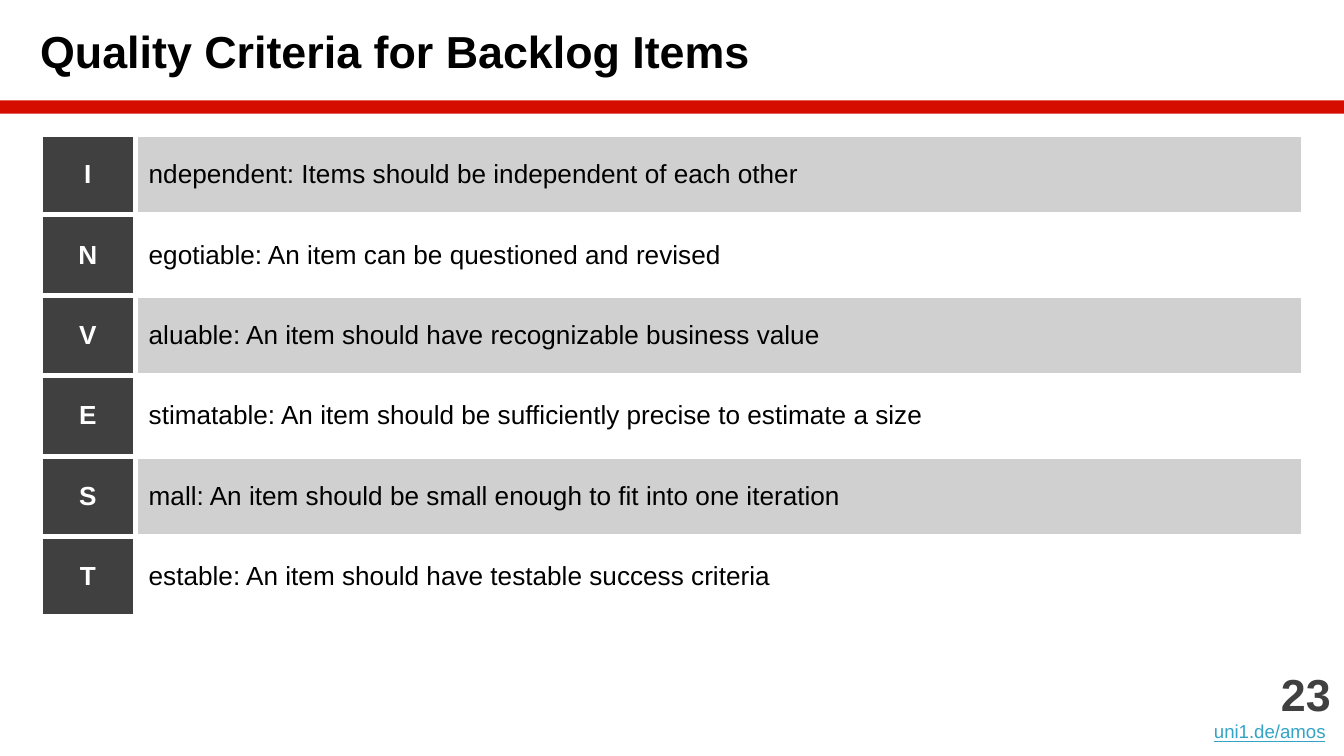
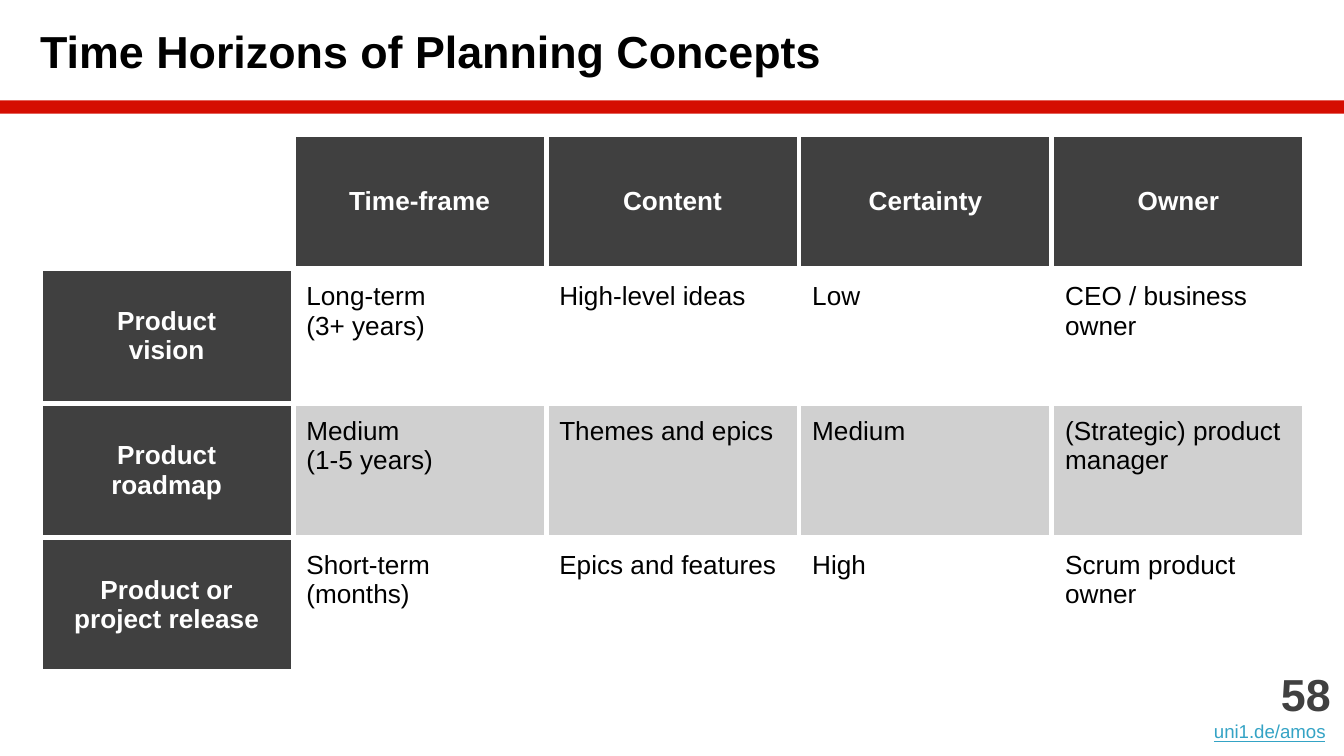
from copy import deepcopy

from lxml import etree
from pptx import Presentation
from pptx.dml.color import RGBColor
from pptx.enum.shapes import MSO_SHAPE
from pptx.enum.text import MSO_ANCHOR as ANCHOR, PP_ALIGN as ALIGN
from pptx.oxml.ns import qn
from pptx.util import Cm, Pt

COLORS = {"red": "D50D01", "dark": "404040", "grey": "D0D0D0",
          "white": "FFFFFF", "black": "000000", "link": "34A3C5"}
WIDTH, HEIGHT = 25.4, 14.29
MARGIN, TABLE_TOP = 0.76, 2.54
BAND_TOP, BAND_HEIGHT = 1.9, 0.25
FOOTER_SIZE = 5.08, 2.54
INSET = 0.25
BORDER_WIDTH = Pt(3)


def write(paragraph, text, size=14, color="black", bold=False,
          underline=False, align=ALIGN.LEFT):
    """Append text to a paragraph; a vertical tab starts a new line."""
    paragraph.alignment = align
    for index, line in enumerate(text.split("\v")):
        if index:
            paragraph.add_line_break()
        run = paragraph.add_run()
        run.text = line
        font = run.font
        font.name, font.size = "Arial", Pt(size)
        font.bold, font.underline = bold, underline
        font.color.rgb = RGBColor.from_string(COLORS[color])
    # Line breaks take the size of the text around them
    for line_break in paragraph._p.findall(qn("a:br")):
        if len(line_break) == 0:
            line_break.append(deepcopy(run._r.rPr))


def set_borders(cell):
    properties = cell._tc.get_or_add_tcPr()
    for side in ("a:lnL", "a:lnR", "a:lnT", "a:lnB"):
        line = etree.SubElement(properties, qn(side), w=str(BORDER_WIDTH))
        fill = etree.SubElement(line, qn("a:solidFill"))
        etree.SubElement(fill, qn("a:srgbClr"), val=COLORS["white"])


# Content; a newline starts a paragraph, a vertical tab only a line
invest_rows = [
    ["I", "ndependent: Items should be independent of each other"],
    ["N", "egotiable: An item can be questioned and revised"],
    ["V", "aluable: An item should have recognizable business value"],
    ["E", "stimatable: An item should be sufficiently precise to estimate a size"],
    ["S", "mall: An item should be small enough to fit into one iteration"],
    ["T", "estable: An item should have testable success criteria"],
]
horizon_rows = [
    ["", "Time-frame", "Content", "Certainty", "Owner"],
    ["Product\vvision", "Long-term\v(3+ years)", "High-level ideas", "Low",
     "CEO / business owner"],
    ["Product\nroadmap", "Medium\v(1-5 years)", "Themes and epics", "Medium",
     "(Strategic) product manager"],
    ["Product or\vproject release", "Short-term (months)",
     "Epics and features", "High", "Scrum product\vowner"],
]
pages = [
    dict(title="Quality Criteria for Backlog Items", number="23",
         rows=invest_rows, widths=[1.8, 22.08], row_height=1.52,
         has_header=False, body_anchor=ANCHOR.MIDDLE),
    dict(title="Time Horizons of Planning Concepts", number="58",
         rows=horizon_rows, widths=[4.78] * 5, row_height=2.54,
         has_header=True, body_anchor=ANCHOR.TOP),
]

deck = Presentation()
deck.slide_width, deck.slide_height = Cm(WIDTH), Cm(HEIGHT)

for page in pages:
    slide = deck.slides.add_slide(deck.slide_layouts[6])

    # Red band below the title
    band = slide.shapes.add_shape(MSO_SHAPE.RECTANGLE, 0, Cm(BAND_TOP),
                                  Cm(WIDTH), Cm(BAND_HEIGHT))
    band.shadow.inherit = False
    band.fill.solid()
    band.fill.fore_color.rgb = RGBColor.from_string(COLORS["red"])
    band.line.fill.background()

    # Title
    title = slide.shapes.add_textbox(0, 0, Cm(WIDTH), Cm(BAND_TOP)).text_frame
    title.word_wrap = True
    title.vertical_anchor = ANCHOR.MIDDLE
    title.margin_left = Cm(MARGIN)
    title.margin_top = title.margin_right = title.margin_bottom = 0
    write(title.paragraphs[0], page["title"], size=24, bold=True)

    # Page number and course address
    footer_width, footer_height = FOOTER_SIZE
    footer = slide.shapes.add_textbox(
        Cm(WIDTH - footer_width), Cm(HEIGHT - footer_height),
        Cm(footer_width), Cm(footer_height)).text_frame
    footer.word_wrap = True
    footer.vertical_anchor = ANCHOR.BOTTOM
    footer.margin_left = footer.margin_right = Cm(INSET)
    footer.margin_top = footer.margin_bottom = Cm(INSET)
    write(footer.paragraphs[0], page["number"], size=24, color="dark",
          bold=True, align=ALIGN.RIGHT)
    address = footer.add_paragraph()
    write(address, "uni1.de/amos", size=10, color="link", underline=True,
          align=ALIGN.RIGHT)
    write(address, " ", size=10, color="dark", align=ALIGN.RIGHT)

    # Table with dark labels and every other row shaded
    rows, widths = page["rows"], page["widths"]
    table = slide.shapes.add_table(
        len(rows), len(widths), Cm(MARGIN), Cm(TABLE_TOP),
        Cm(sum(widths)), Cm(page["row_height"] * len(rows))).table
    table.first_row = table.horz_banding = False
    for column, width in zip(table.columns, widths):
        column.width = Cm(width)

    for row_index, texts in enumerate(rows):
        table.rows[row_index].height = Cm(page["row_height"])
        for column_index, text in enumerate(texts):
            cell = table.cell(row_index, column_index)
            is_label = column_index == 0 or (page["has_header"] and row_index == 0)
            if not text:
                fill = "white"
            elif is_label:
                fill = "dark"
            else:
                fill = "white" if row_index % 2 else "grey"
            set_borders(cell)
            cell.fill.solid()
            cell.fill.fore_color.rgb = RGBColor.from_string(COLORS[fill])
            cell.margin_left = cell.margin_right = Cm(INSET)
            cell.margin_top = cell.margin_bottom = Cm(INSET)
            cell.vertical_anchor = ANCHOR.MIDDLE if is_label else page["body_anchor"]
            if not text:
                continue
            for index, part in enumerate(text.split("\n")):
                frame = cell.text_frame
                paragraph = frame.add_paragraph() if index else frame.paragraphs[0]
                write(paragraph, part, bold=is_label,
                      color="white" if is_label else "black",
                      align=ALIGN.CENTER if is_label else ALIGN.LEFT)

deck.save("out.pptx")
